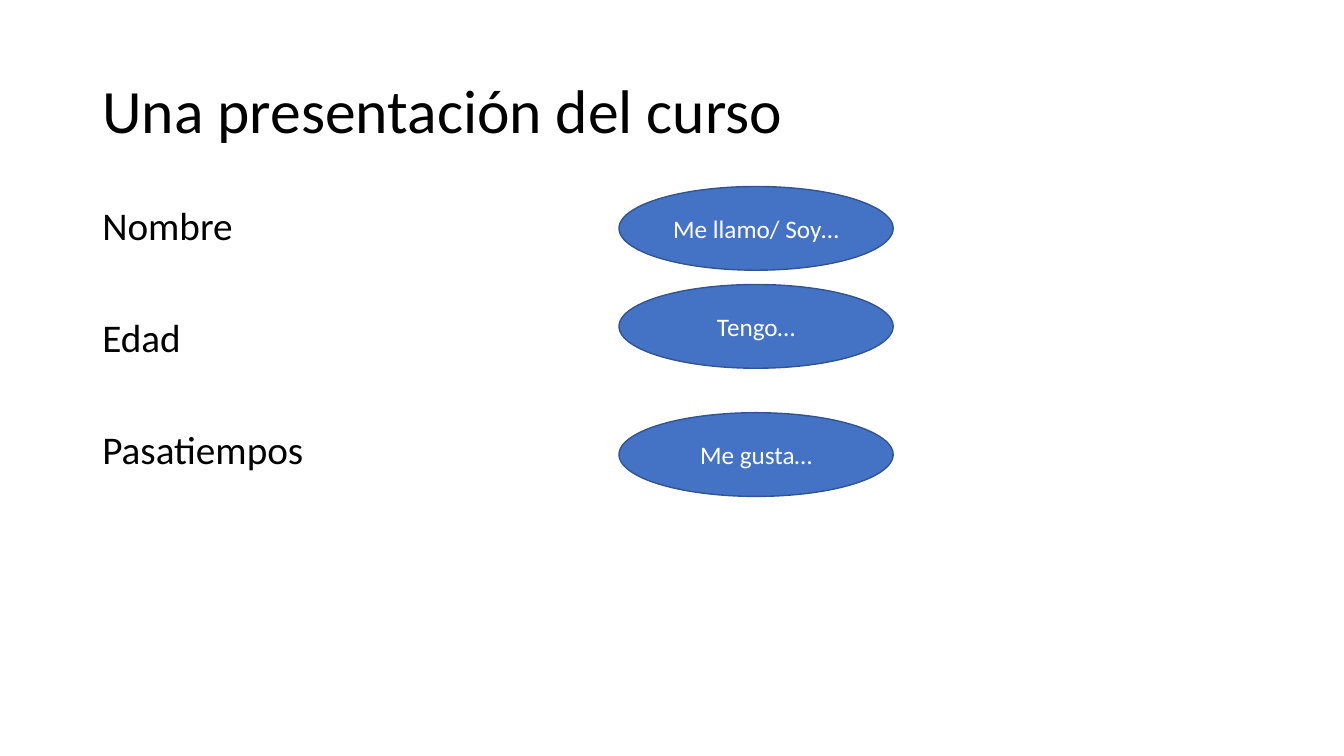
import pptx
import pptx.util
import pptx.dml.color
import pptx.enum.shapes
import pptx.enum.text

Cm = pptx.util.Cm
Pt = pptx.util.Pt
RGBColor = pptx.dml.color.RGBColor
ALIGN = pptx.enum.text.PP_ALIGN
MIDDLE = pptx.enum.text.MSO_ANCHOR.MIDDLE
TOP = pptx.enum.text.MSO_ANCHOR.TOP

BLACK = RGBColor(0x00, 0x00, 0x00)
WHITE = RGBColor(0xFF, 0xFF, 0xFF)
BLUE = RGBColor(0x44, 0x72, 0xC4)
NAVY = RGBColor(0x32, 0x54, 0x91)


def write(shape, text, size, color=BLACK, align=ALIGN.LEFT, anchor=MIDDLE,
          lead=0.9, gap=0):
    frame = shape.text_frame
    frame.word_wrap = True
    frame.vertical_anchor = anchor
    frame.text = text
    for i, para in enumerate(frame.paragraphs):
        para.alignment = align
        para.line_spacing = lead
        if i:
            para.space_before = Pt(gap)
        para.font.name = "Calibri"
        para.font.size = Pt(size)
        para.font.color.rgb = color


deck = pptx.Presentation()
deck.slide_width = Cm(33.87)
deck.slide_height = Cm(19.05)
slide = deck.slides.add_slide(deck.slide_layouts[6])
shapes = slide.shapes

# Title
title = shapes.add_textbox(Cm(2.33), Cm(1.01), Cm(29.21), Cm(3.68))
write(title, "Una presentación del curso", size=44)

# Topics
topics = shapes.add_textbox(Cm(2.33), Cm(5.07), Cm(29.21), Cm(12.09))
write(topics, "Nombre\nEdad\nPasatiempos", size=28, anchor=TOP, gap=50)

# Sentence starters
starts = [("Me llamo/ Soy…", 4.7), ("Tengo…", 7.17), ("Me gusta…", 10.4)]
for text, top in starts:
    oval = shapes.add_shape(pptx.enum.shapes.MSO_SHAPE.OVAL,
                            Cm(15.6), Cm(top), Cm(6.91), Cm(2.11))
    oval.shadow.inherit = False
    oval.fill.solid()
    oval.fill.fore_color.rgb = BLUE
    oval.line.color.rgb = NAVY
    oval.line.width = Pt(1)
    write(oval, text, size=18, color=WHITE, align=ALIGN.CENTER, lead=1.0)

deck.save("out.pptx")
